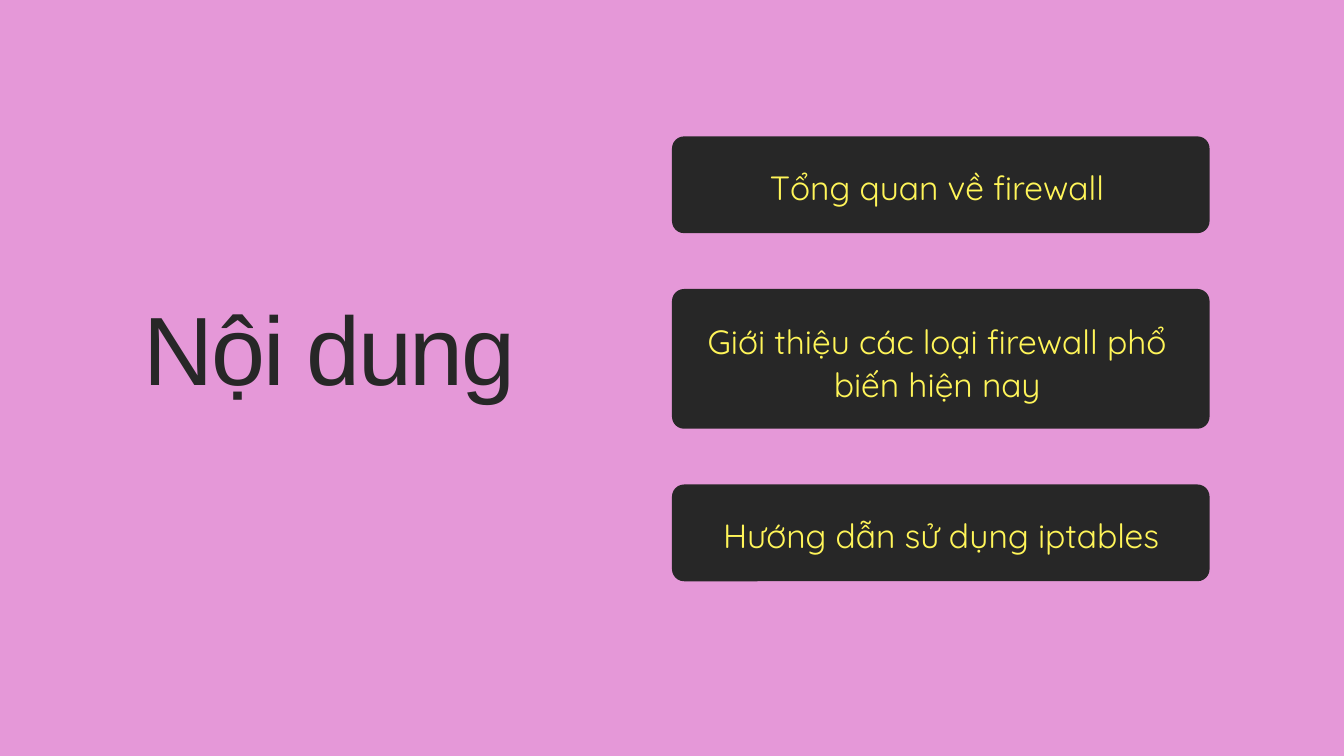
"""Build the agenda slide: a title on the left and three rounded topic cards."""
from dataclasses import dataclass

from pptx import Presentation
from pptx.dml.color import RGBColor
from pptx.enum.shapes import MSO_SHAPE as SHAPE
from pptx.enum.text import PP_ALIGN as ALIGN
from pptx.util import Inches, Pt


@dataclass(frozen=True)
class Theme:
    background: RGBColor = RGBColor.from_string("E598D8")
    dark: RGBColor = RGBColor.from_string("272727")
    yellow: RGBColor = RGBColor.from_string("FFF559")
    title_size: float = 104
    topic_size: float = 36
    title_font: str = "Arial"
    topic_font: str = "Quicksand"


theme = Theme()
prs = Presentation()
prs.slide_width, prs.slide_height = Inches(20), Inches(11.25)
s = prs.slides.add_slide(prs.slide_layouts[6])
s.background.fill.solid()
s.background.fill.fore_color.rgb = theme.background


def add_text(text, *, left, top, width, height, size, font, color, leading,
             align=ALIGN.LEFT, tracking=0):
    """Add a text box without margins, with exact line spacing in points."""
    box = s.shapes.add_textbox(Inches(left), Inches(top), Inches(width), Inches(height))
    tf = box.text_frame
    tf.word_wrap = True
    tf.margin_left = tf.margin_top = tf.margin_right = tf.margin_bottom = 0
    p = tf.paragraphs[0]
    p.alignment = align
    p.line_spacing = Pt(leading)
    r = p.add_run()
    r.text = text
    r.font.size = Pt(size)
    r.font.name = font
    r.font.color.rgb = color
    if tracking:
        r.font._element.set("spc", str(round(tracking * 100)))


topics = [
    ("Tổng quan về firewall", 1.44, 10.53, 0.4, 0.61),
    ("Giới thiệu các loại firewall phổ biến hiện nay", 2.08, 10.53, 0.42, 1.26),
    ("Hướng dẫn sử dụng iptables", 1.44, 10.59, 0.4, 0.61),
]
card_left, card_width, gap, radius = 10, 8, 0.83, 0.18
top = 2.03
for text, height, text_left, pad, text_height in topics:
    sp = s.shapes.add_shape(SHAPE.ROUNDED_RECTANGLE, Inches(card_left), Inches(top),
                            Inches(card_width), Inches(height))
    sp.adjustments[0] = radius / height
    sp.shadow.inherit = False
    sp.fill.solid()
    sp.fill.fore_color.rgb = theme.dark
    sp.line.fill.background()
    add_text(text, left=text_left, top=top + pad, width=6.83, height=text_height,
             size=theme.topic_size, font=theme.topic_font, color=theme.yellow,
             leading=46.8, align=ALIGN.CENTER)
    top += height + gap

add_text("Nội dung", left=2.14, top=4.29, width=7.31, height=1.73,
         size=theme.title_size, font=theme.title_font, color=theme.dark,
         leading=124.8, tracking=-2.6)

prs.save("out.pptx")
